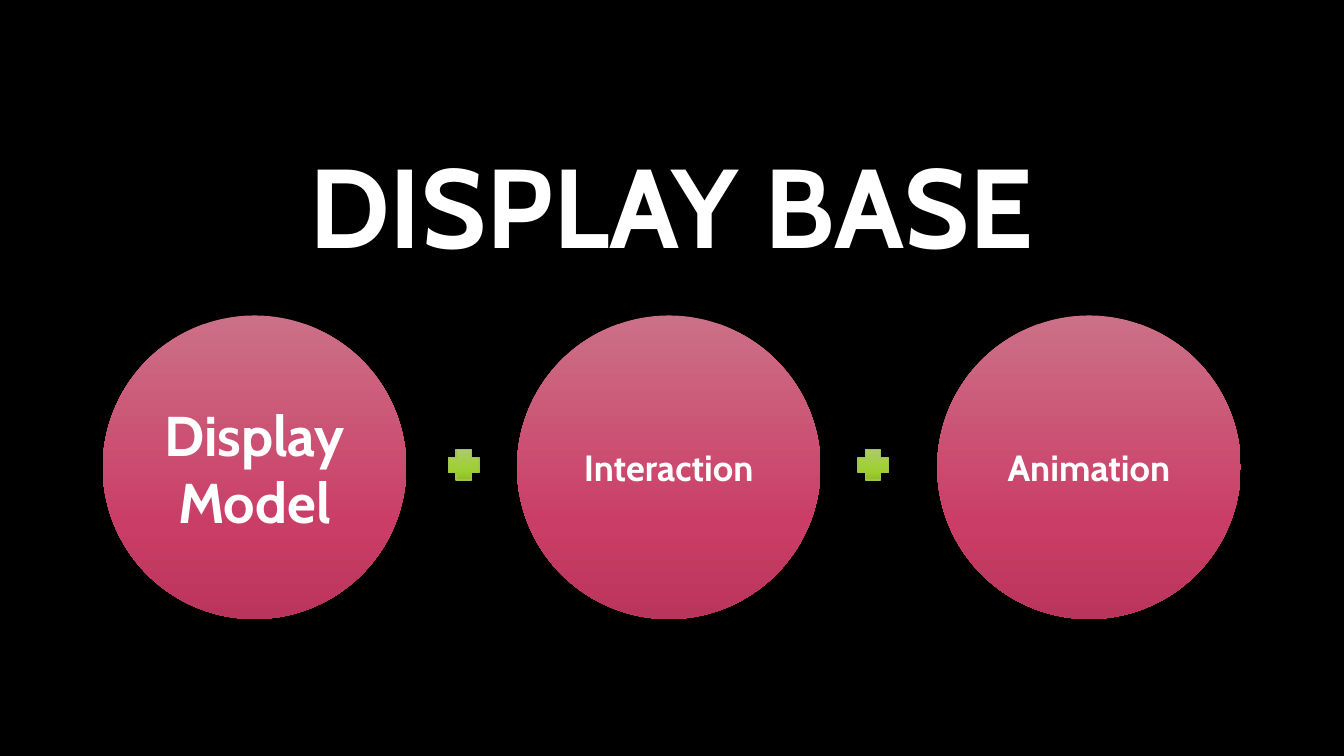
import pptx
import pptx.util
import pptx.dml.color
import pptx.enum.shapes
import pptx.enum.text
import pptx.oxml.ns
import lxml.etree

Cm = pptx.util.Cm
Pt = pptx.util.Pt
SHAPE = pptx.enum.shapes.MSO_SHAPE

# Content
TITLE = "DISPLAY BASE"
CIRCLES = [  # left in cm, font size, lines
    (2.59, 40, ["Display", "Model"]),
    (13.03, 26, ["Interaction"]),
    (23.62, 26, ["Animation"]),
]
PLUS_LEFTS = [11.3, 21.62]

# Layout in cm
CIRCLE_TOP, CIRCLE_SIZE = 7.95, 7.65
PLUS_TOP, PLUS_SIZE = 11.33, 0.77

# Style
COLORS = {"background": "000000", "text": "FFFFFF", "plus_line": "9EC544"}
GRADIENTS = {  # position in percent: colour
    "circle": {0: "CC7087", 69: "CA3D66", 100: "BA355B"},
    "plus": {0: "ABCC69", 69: "9ECF2E", 100: "90BC2A"},
}


def color(name):
    return pptx.dml.color.RGBColor.from_string(COLORS[name])


def write_text(shape, lines, size, line_spacing=1.0):
    frame = shape.text_frame
    frame.text = "\n".join(lines)
    frame_format = {
        "word_wrap": True,
        "auto_size": pptx.enum.text.MSO_AUTO_SIZE.NONE,
        "vertical_anchor": pptx.enum.text.MSO_ANCHOR.MIDDLE,
    }
    for name, value in frame_format.items():
        setattr(frame, name, value)
    for paragraph in frame.paragraphs:
        paragraph.alignment = pptx.enum.text.PP_ALIGN.CENTER
        paragraph.line_spacing = line_spacing
        font = paragraph.runs[0].font
        for name, value in {"name": "Cabin", "size": Pt(size), "bold": True}.items():
            setattr(font, name, value)
        font.color.rgb = color("text")


def add_gradient_shape(slide, kind, left, top, size, stops):
    shape = slide.shapes.add_shape(kind, Cm(left), Cm(top), Cm(size), Cm(size))
    shape.shadow.inherit = False
    shape.fill.gradient()
    shape.fill.gradient_angle = 270  # top to bottom
    qn = pptx.oxml.ns.qn
    stop_list = shape.element.spPr.find(".//" + qn("a:gsLst"))
    for stop in list(stop_list):
        stop_list.remove(stop)
    for position, value in stops.items():
        stop = lxml.etree.SubElement(stop_list, qn("a:gs"), pos=str(position * 1000))
        lxml.etree.SubElement(stop, qn("a:srgbClr"), val=value)
    return shape


def main():
    presentation = pptx.Presentation()
    presentation.slide_width, presentation.slide_height = Cm(33.87), Cm(19.05)
    slide = presentation.slides.add_slide(presentation.slide_layouts[5])
    slide.background.fill.solid()
    slide.background.fill.fore_color.rgb = color("background")

    # Title
    title = slide.shapes.title
    place = {"left": 2.54, "top": 3.51, "width": 28.75, "height": 3.68}
    for name, value in place.items():
        setattr(title, name, Cm(value))
    write_text(title, [TITLE], 80, 0.9)

    # Circles
    for left, size, lines in CIRCLES:
        circle = add_gradient_shape(
            slide, SHAPE.OVAL, left, CIRCLE_TOP, CIRCLE_SIZE, GRADIENTS["circle"])
        circle.line.fill.background()
        write_text(circle, lines, size)

    # Plus signs between the circles
    for left in PLUS_LEFTS:
        plus = add_gradient_shape(
            slide, SHAPE.CROSS, left, PLUS_TOP, PLUS_SIZE, GRADIENTS["plus"])
        plus.line.color.rgb = color("plus_line")
        plus.line.width = Pt(1)

    presentation.save("out.pptx")


if __name__ == "__main__":
    main()
